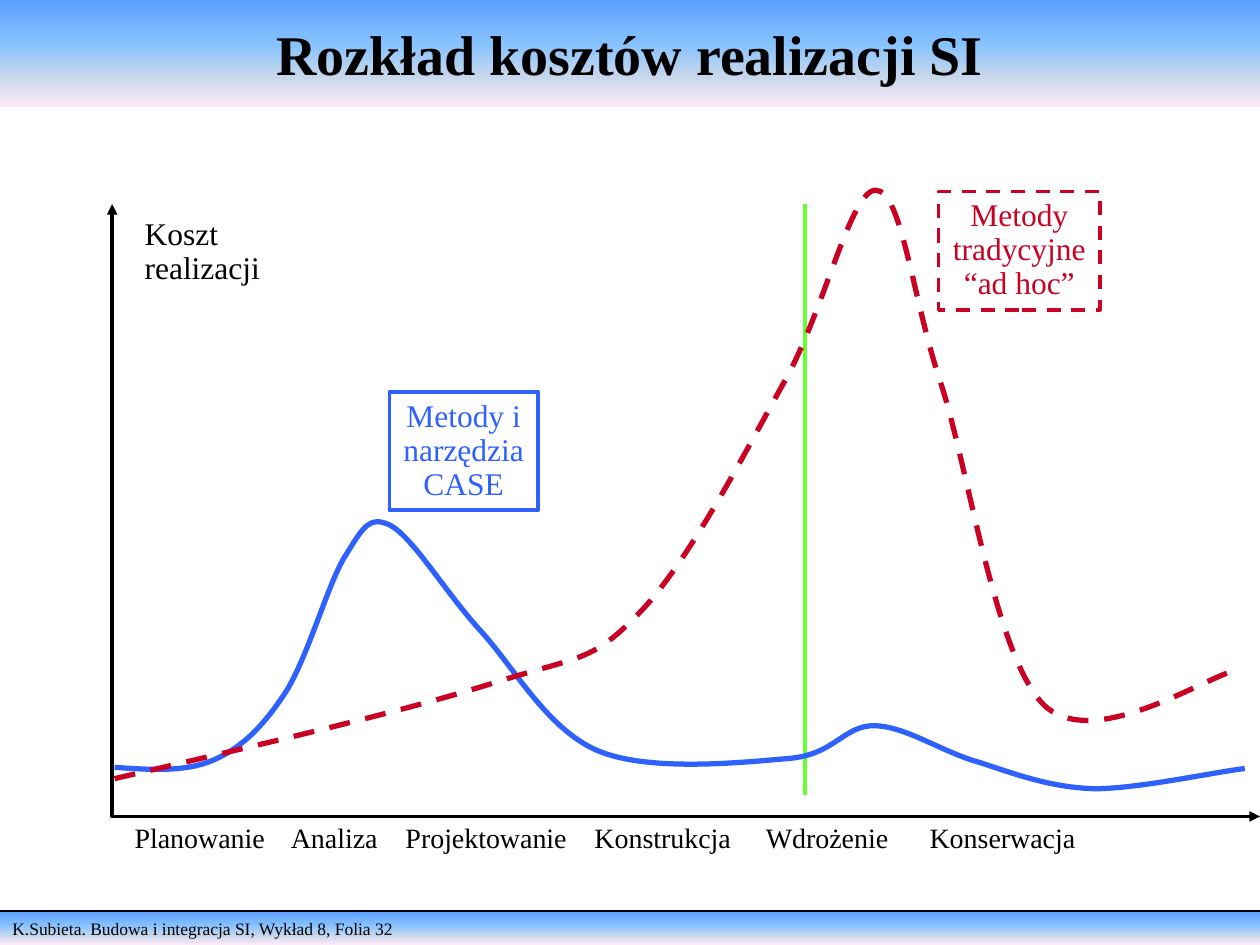
from copy import deepcopy
from typing import NamedTuple, Optional

from lxml import etree
from pptx import Presentation
from pptx.dml.color import RGBColor
from pptx.enum import dml, shapes, text
from pptx.oxml.ns import qn
from pptx.util import Inches, Pt

FONT = "Times New Roman"
BLACK, BLUE, RED, GREEN = "000000", "2F61FF", "C90122", "66FF33"
BAND_STOPS = [(0, "5E9EFF"), (0.4, "85C2FF"), (0.7, "C4D6EB"), (1, "FFEBFA")]
DASH = dml.MSO_LINE.DASH
LEFT, CENTER = text.PP_ALIGN.LEFT, text.PP_ALIGN.CENTER
TOP, MIDDLE = text.MSO_ANCHOR.TOP, text.MSO_ANCHOR.MIDDLE


class Label(NamedTuple):
    lines: list
    box: tuple
    color: str = BLACK
    align: text.PP_ALIGN = CENTER
    border: bool = True
    dash: Optional[dml.MSO_LINE] = None


class Curve(NamedTuple):
    color: str
    dash: Optional[dml.MSO_LINE]
    points: list  # start, then two handles and an end for each segment


LABELS = [
    Label(["Koszt", "realizacji"], (1.05, 1.68, 1.3, 0.64), align=LEFT, border=False),
    Label(["Metody i", "narzędzia", "CASE"], (3.09, 3.11, 1.18, 0.94), BLUE),
    Label(["Metody", "tradycyjne", "“ad hoc”"], (7.45, 1.52, 1.28, 0.94), RED, dash=DASH),
]

# Phase names and where each starts, in inches from the first one
PHASES = {"Planowanie": 0, "Analiza": 1.24, "Projektowanie": 2.15,
          "Konstrukcja": 3.65, "Wdrożenie": 5.01, "Konserwacja": 6.31}

CURVES = [
    Curve(BLUE, None, [
        (0.91, 6.09),
        (1.19, 6.11), (1.48, 6.13), (1.7, 6.03),
        (1.93, 5.93), (2.1, 5.75), (2.27, 5.49),
        (2.44, 5.22), (2.6, 4.65), (2.73, 4.43),
        (2.87, 4.21), (2.92, 4.08), (3.1, 4.17),
        (3.28, 4.27), (3.53, 4.69), (3.8, 4.99),
        (4.08, 5.29), (4.34, 5.79), (4.75, 5.96),
        (5.16, 6.13), (5.9, 6.05), (6.26, 6.02),
        (6.63, 5.99), (6.7, 5.75), (6.95, 5.76),
        (7.2, 5.77), (7.48, 5.97), (7.77, 6.05),
        (8.05, 6.14), (8.33, 6.25), (8.69, 6.26),
        (9.04, 6.26), (9.68, 6.12), (9.88, 6.1)]),
    Curve(RED, DASH, [
        (0.91, 6.18),
        (2.07, 5.91), (3.23, 5.64), (3.92, 5.42),
        (4.62, 5.2), (4.69, 5.26), (5.07, 4.87),
        (5.46, 4.47), (5.91, 3.6), (6.22, 3.04),
        (6.54, 2.48), (6.75, 1.51), (6.95, 1.51),
        (7.16, 1.51), (7.24, 2.37), (7.47, 3.05),
        (7.69, 3.73), (7.9, 5.22), (8.29, 5.6),
        (8.69, 5.97), (9.58, 5.36), (9.84, 5.31)]),
]


def rgb(color: str) -> RGBColor:
    return RGBColor.from_string(color)


def set_line(line, color: str, width: float, dash=None) -> None:
    line.color.rgb = rgb(color)
    line.width = Pt(width)
    if dash is not None:
        line.dash_style = dash


def set_text(sp, lines: list, size: float, color: str = BLACK, align=LEFT,
             anchor=MIDDLE, wrap=False, bold=False, spacing=0.9) -> None:
    tf = sp.text_frame
    tf.word_wrap = wrap
    tf.vertical_anchor = anchor
    for i, line in enumerate(lines):
        p = tf.add_paragraph() if i else tf.paragraphs[0]
        p.text = line
        p.alignment = align
        p.line_spacing = spacing
        p.font.name, p.font.size, p.font.bold = FONT, Pt(size), bold
        p.font.color.rgb = rgb(color)


def add_rect(s, box: tuple):
    sp = s.shapes.add_shape(shapes.MSO_SHAPE.RECTANGLE, *map(Inches, box))
    sp.shadow.inherit = False
    return sp


def add_band(s, top: float, height: float):
    sp = add_rect(s, (0, top, 10, height))
    sp.line.fill.background()
    sp.fill.gradient()
    sp.fill.gradient_angle = 270
    stops = sp._element.spPr.find(".//" + qn("a:gsLst"))
    for stop in list(stops):
        stops.append(deepcopy(stop))
    for stop, (position, color) in zip(sp.fill.gradient_stops, BAND_STOPS):
        stop.position = position
        stop.color.rgb = rgb(color)
    return sp


def add_label(s, label: Label) -> None:
    if label.border:
        sp = add_rect(s, label.box)
        sp.fill.background()
        set_line(sp.line, label.color, 2, label.dash)
    else:
        sp = s.shapes.add_textbox(*map(Inches, label.box))
    # Wrapping keeps left-aligned text at the left edge of its box
    set_text(sp, label.lines, 18, label.color, label.align, wrap=not label.border)


def add_straight(s, start: tuple, end: tuple, color: str, width: float) -> None:
    c = s.shapes.add_connector(shapes.MSO_CONNECTOR.STRAIGHT,
                               *map(Inches, start + end))
    set_line(c.line, color, width)
    etree.SubElement(c._element.spPr, qn("a:effectLst"))


def add_open_path(s, points: list, color: str, width: float, dash=None):
    emu = [(Inches(x), Inches(y)) for x, y in points]
    builder = s.shapes.build_freeform(*emu[0])
    builder.add_line_segments(emu[1:], close=False)
    sp = builder.convert_to_shape()
    sp.shadow.inherit = False
    sp.fill.background()
    set_line(sp.line, color, width, dash)
    return sp


def add_curve(s, curve: Curve) -> None:
    sp = add_open_path(s, curve.points, curve.color, 3, curve.dash)
    outline = sp._element.spPr.find(".//" + qn("a:path"))
    segments = outline.findall(qn("a:lnTo"))
    # Every three straight steps become one cubic Bézier segment
    for i in range(0, len(segments), 3):
        bezier = etree.SubElement(outline, qn("a:cubicBezTo"))
        for step in segments[i:i + 3]:
            bezier.append(step[0])
            outline.remove(step)


def main() -> None:
    prs = Presentation()
    prs.slide_width, prs.slide_height = Inches(10), Inches(7.5)
    s = prs.slides.add_slide(prs.slide_layouts[6])

    # Footer and title bands
    footer = add_band(s, 7.24, 0.26)
    set_text(footer, ["K.Subieta. Budowa i integracja SI, Wykład 8, Folia 32"],
             10, anchor=TOP, wrap=True, spacing=1)
    add_straight(s, (0, 7.23), (10, 7.23), BLACK, 1)
    title = add_band(s, 0, 0.85)
    set_text(title, ["Rozkład kosztów realizacji SI"], 32, align=CENTER,
             wrap=True, bold=True, spacing=1)

    # Labels of the cost axis and the two curves
    for label in LABELS:
        add_label(s, label)

    # Phases along the time axis, placed with tab stops
    phases = s.shapes.add_textbox(*map(Inches, (0.97, 6.49, 7.9, 0.34)))
    p_pr = phases.text_frame.paragraphs[0]._p.get_or_add_pPr()
    tabs = etree.SubElement(p_pr, qn("a:tabLst"))
    for start in list(PHASES.values())[1:]:
        etree.SubElement(tabs, qn("a:tab"), pos=str(Inches(start)), algn="l")
    set_text(phases, ["\t".join(PHASES)], 16, wrap=True)

    # Handover line, axes and cost curves
    add_straight(s, (6.39, 1.62), (6.39, 6.31), GREEN, 2.25)
    axes = add_open_path(s, [(0.89, 1.62), (0.89, 6.48), (10, 6.48)], BLACK, 2)
    for end in ("headEnd", "tailEnd"):
        etree.SubElement(axes.line._get_or_add_ln(), qn("a:" + end), type="triangle")
    for curve in CURVES:
        add_curve(s, curve)

    prs.save("out.pptx")


if __name__ == "__main__":
    main()
